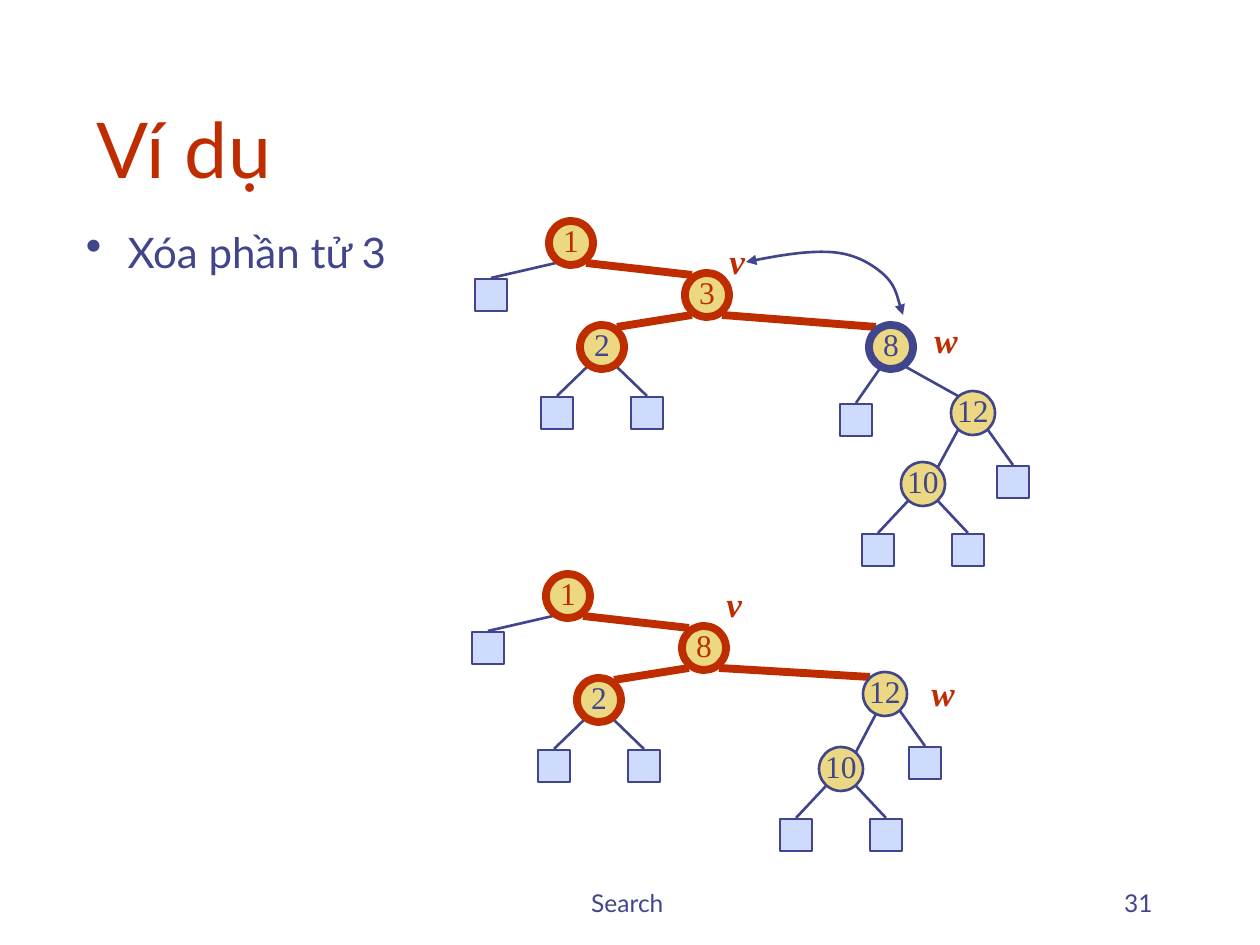
from dataclasses import dataclass

from pptx import Presentation
from pptx.dml.color import RGBColor
from pptx.enum.shapes import MSO_CONNECTOR, MSO_SHAPE
from pptx.enum.text import MSO_ANCHOR, PP_ALIGN
from pptx.oxml.ns import qn
from pptx.oxml.xmlchemy import OxmlElement
from pptx.util import Pt

PX = 914400 // 126
RED, BLUE, GOLD, PALE = "BE2D00", "40458C", "ECD882", "CFDBFD"
SANS, SERIF = "Lato", "Times New Roman"
THIN, THICK = 1.5, 4.5
NODE_SIZE, LEAF_SIZE = 44, 32


@dataclass
class Node:
    """A tree node; dx and dy lead from the parent's centre to its own."""
    key: str
    dx: int
    dy: int
    children: tuple = ()
    ring: str = BLUE
    ring_width: float = THIN
    key_color: str = BLUE
    exit_dx: int = 15  # how far from the parent's axis the edge starts


def px(length):
    return length * PX


def color(hex_text):
    return RGBColor.from_string(hex_text)


def set_all(target, values):
    for name, value in values.items():
        setattr(target, name, value)


def outline(line, hex_text, width):
    line.color.rgb = color(hex_text)
    line.width = Pt(width)


def write(shape, text, size, font, ink, frame, align=PP_ALIGN.CENTER, **style):
    set_all(shape.text_frame, frame)
    paragraph = shape.text_frame.paragraphs[0]
    paragraph.alignment = align
    run = paragraph.add_run()
    run.text = text
    set_all(run.font, {"size": Pt(size), "name": font, **style})
    run.font.color.rgb = color(ink)
    return paragraph


def add_text(shapes, box, text, size, font, ink, anchor=MSO_ANCHOR.TOP,
             wrap=True, **style):
    frame = {"word_wrap": wrap, "vertical_anchor": anchor}
    return write(shapes.add_textbox(*map(px, box)), text, size, font, ink,
                 frame, **style)


def add_bullet(paragraph, ink, indent):
    properties = paragraph._p.get_or_add_pPr()
    properties.set("marL", str(px(indent)))
    properties.set("indent", str(px(-indent)))
    bullet_color = OxmlElement("a:buClr")
    rgb = OxmlElement("a:srgbClr")
    rgb.set("val", ink)
    bullet_color.append(rgb)
    size = OxmlElement("a:buSzPct")
    size.set("val", "110000")
    mark = OxmlElement("a:buChar")
    mark.set("char", "•")
    properties.extend([bullet_color, size, mark])


def add_edge(shapes, start, end, ink, width):
    edge = shapes.add_connector(MSO_CONNECTOR.STRAIGHT,
                                *map(px, start + end))
    outline(edge.line, ink, width)
    edge._element.spPr.append(OxmlElement("a:effectLst"))


def add_node(shapes, node, x, y):
    preset, size, fill = ((MSO_SHAPE.OVAL, NODE_SIZE, GOLD) if node.key
                          else (MSO_SHAPE.RECTANGLE, LEAF_SIZE, PALE))
    shape = shapes.add_shape(preset, px(x - size // 2), px(y - size // 2),
                             px(size), px(size))
    shape.shadow.inherit = False
    shape.fill.solid()
    shape.fill.fore_color.rgb = color(fill)
    outline(shape.line, node.ring, node.ring_width)
    if node.key:
        frame = {"margin_left": 0, "margin_right": 0, "margin_top": 0,
                 "margin_bottom": px(6), "word_wrap": False,
                 "vertical_anchor": MSO_ANCHOR.MIDDLE}
        write(shape, node.key, 18, SERIF, node.key_color, frame)


def rim(node):
    """Vertical distance from a node's centre to the end of an edge."""
    if not node.key:
        return 17
    return 20 if node.ring_width == THICK else 17


def draw_tree(shapes, node, x, y):
    # Edges go below the nodes that they join
    for child in node.children:
        side = 1 if child.dx > 0 else -1
        child_x, child_y = x + child.dx, y + child.dy
        on_route = node.ring == RED and child.key
        exit_dy = 20 if child.exit_dx < 15 else rim(node)
        add_edge(shapes,
                 (x + side * child.exit_dx, y + exit_dy),
                 (child_x - side * 15 if child.key else child_x,
                  child_y - rim(child)),
                 *((RED, THICK) if on_route else (BLUE, THIN)))
        draw_tree(shapes, child, child_x, child_y)
    add_node(shapes, node, x, y)


def leaf(dx, dy, **style):
    return Node("", dx, dy, **style)


def leaf_pair():
    return leaf(-45, 66), leaf(45, 66)


def twelve(dx, dy, ten):
    return Node("12", dx, dy, (ten, leaf(40, 69)))


def whole_tree(key, right_child):
    """The root, with the node v that holds key and v's right child."""
    route = {"ring": RED, "ring_width": THICK}
    two = Node("2", -105, 52, leaf_pair(), **route)
    v = Node(key, 136, 52, (two, right_child), key_color=RED, **route)
    return Node("1", 0, 0, (leaf(-80, 52), v), key_color=RED, **route)


def add_swap_arrow(shapes, points):
    corners = [tuple(map(px, point)) for point in points]
    builder = shapes.build_freeform(*corners[0])
    builder.add_line_segments(corners[1:], close=False)
    arrow = builder.convert_to_shape()
    arrow.shadow.inherit = False
    arrow.fill.background()
    outline(arrow.line, BLUE, THIN)
    # Every three segments become one cubic curve
    segments = list(arrow._element.iter(qn("a:lnTo")))
    for first in range(0, len(segments), 3):
        curve = OxmlElement("a:cubicBezTo")
        segments[first].addprevious(curve)
        for segment in segments[first:first + 3]:
            curve.append(segment[0])
            segment.getparent().remove(segment)
    for tag in ("a:headEnd", "a:tailEnd"):
        tip = OxmlElement(tag)
        tip.set("type", "triangle")
        arrow.line._get_or_add_ln().append(tip)


def main():
    deck = Presentation()
    deck.slide_width, deck.slide_height = px(1260), px(945)
    shapes = deck.slides.add_slide(deck.slide_layouts[6]).shapes

    # Title, task and footer
    add_text(shapes, (84, 42, 1071, 158), "Ví dụ", 44, SANS, RED,
             MSO_ANCHOR.BOTTOM, align=PP_ALIGN.LEFT)
    task = add_text(shapes, (63, 220, 346, 63), " Xóa phần tử 3", 24, SANS,
                    BLUE)
    add_bullet(task, BLUE, 31)
    add_text(shapes, (431, 861, 399, 63), "Search ", 14, SANS, BLUE,
             MSO_ANCHOR.BOTTOM)
    add_text(shapes, (903, 861, 262, 63), "31", 14, SANS, BLUE,
             MSO_ANCHOR.BOTTOM, align=PP_ALIGN.RIGHT)

    # Trees before and after the removal
    eight = Node("8", 184, 52,
                 (leaf(-35, 73, exit_dx=10),
                  twelve(82, 66, Node("10", -50, 71, leaf_pair()))),
                 ring_width=THICK)
    before = whole_tree("3", eight)
    after = whole_tree("8", twelve(
        181, 46, Node("10", -44, 75, leaf_pair(), exit_dx=9)))
    for root, x, y, labels in (
            (before, 571, 243, {"v": (717, 233, 40, 55),
                                "w": (922, 312, 48, 55)}),
            (after, 568, 596, {"v": (714, 576, 40, 55),
                               "w": (919, 665, 48, 55)})):
        tree = shapes.add_group_shape().shapes
        draw_tree(tree, root, x, y)
        for label, box in labels.items():
            add_text(tree, box, label, 20, SERIF, RED, wrap=False,
                     bold=True, italic=True)

    # Exchange of v and w
    add_swap_arrow(shapes, [(746, 262), (776, 256), (806, 251), (829, 252),
                            (852, 253), (869, 262), (882, 273),
                            (895, 284), (898, 300), (903, 315)])
    deck.save("out.pptx")


if __name__ == "__main__":
    main()
